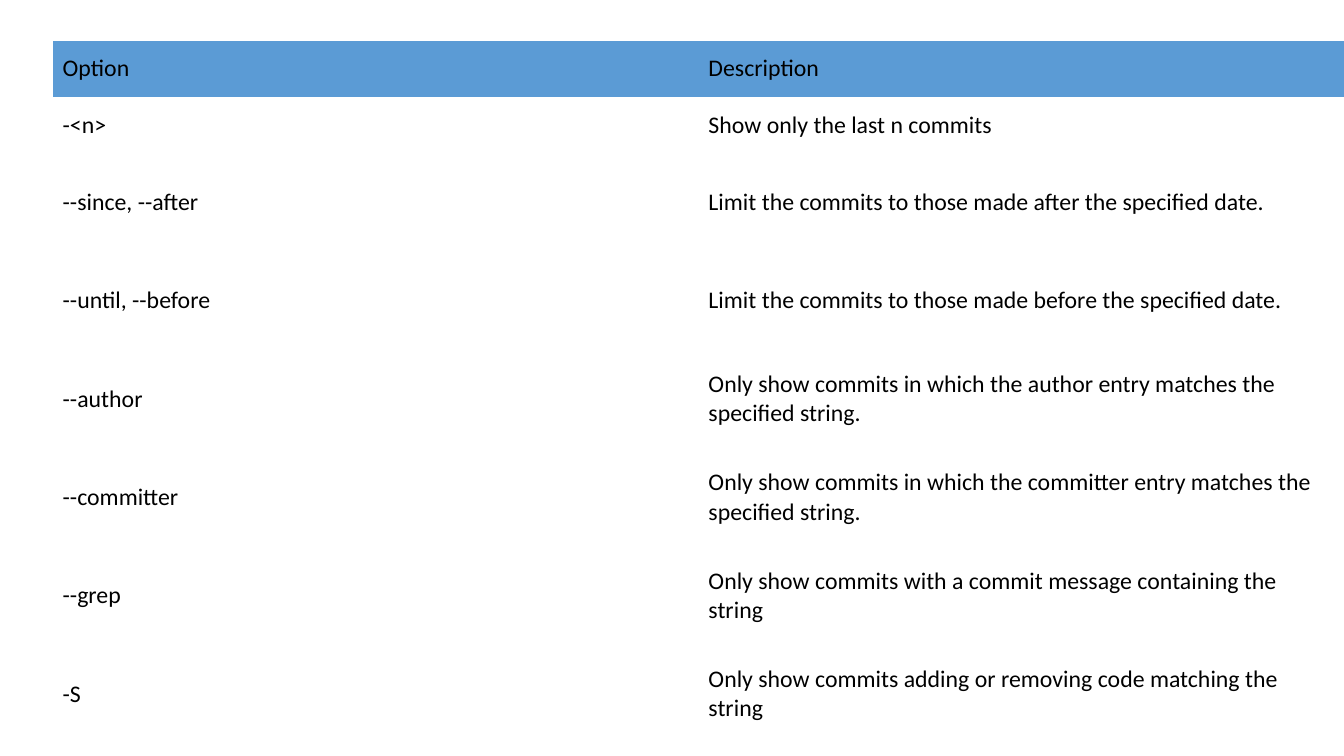
from pptx import Presentation
from pptx.dml.color import RGBColor as Rgb
from pptx.enum.text import MSO_ANCHOR as Anchor
from pptx.oxml.ns import qn
from pptx.util import Pt

PLAIN = "{2D5ABB26-0587-4C30-8999-92F81FD0307C}"
HEAD = ("Option", "Description")
ROWS = [
    ("-<n>", "Show only the last n commits"),
    ("--since, --after",
     "Limit the commits to those made after the specified date."),
    ("--until, --before",
     "Limit the commits to those made before the specified date."),
    ("--author",
     "Only show commits in which the author entry matches the specified string."),
    ("--committer",
     "Only show commits in which the committer entry matches the specified string."),
    ("--grep", "Only show commits with a commit message containing the string"),
    ("-S", "Only show commits adding or removing code matching the string"),
]


def color(code):
    return Rgb.from_string(code)


def write(cell, text):
    cell.vertical_anchor = Anchor.MIDDLE
    run = cell.text_frame.paragraphs[0].add_run()
    run.text = text
    run.font.name = "Calibri"
    run.font.size = Pt(17)
    run.font.color.rgb = color("000000")


def options(slide, left, top, width, height):
    """Place the option table: two short rows, then equal tall ones."""
    lines = [HEAD] + ROWS
    frame = slide.shapes.add_table(len(lines), len(HEAD), Pt(left), Pt(top),
                                   Pt(width), Pt(height))
    table = frame.table
    table.first_row = table.horz_banding = False
    next(frame.element.iter(qn("a:tableStyleId"))).text = PLAIN
    for col in table.columns:
        col.width = Pt(width / len(HEAD))
    short = height * 0.08
    tall = (height - 2 * short) / (len(lines) - 2)
    for i, line in enumerate(lines):
        table.rows[i].height = Pt(short if i < 2 else tall)
        for j, text in enumerate(line):
            cell = table.cell(i, j)
            write(cell, text)
            if i == 0:
                cell.fill.solid()
                cell.fill.fore_color.rgb = color("5B9BD5")
            else:
                cell.fill.background()


def main():
    deck = Presentation()
    deck.slide_width, deck.slide_height = Pt(960), Pt(540)
    slide = deck.slides.add_slide(deck.slide_layouts[6])
    options(slide, 37.6, 29, 922.6, 502)
    deck.save("out.pptx")


if __name__ == "__main__":
    main()
